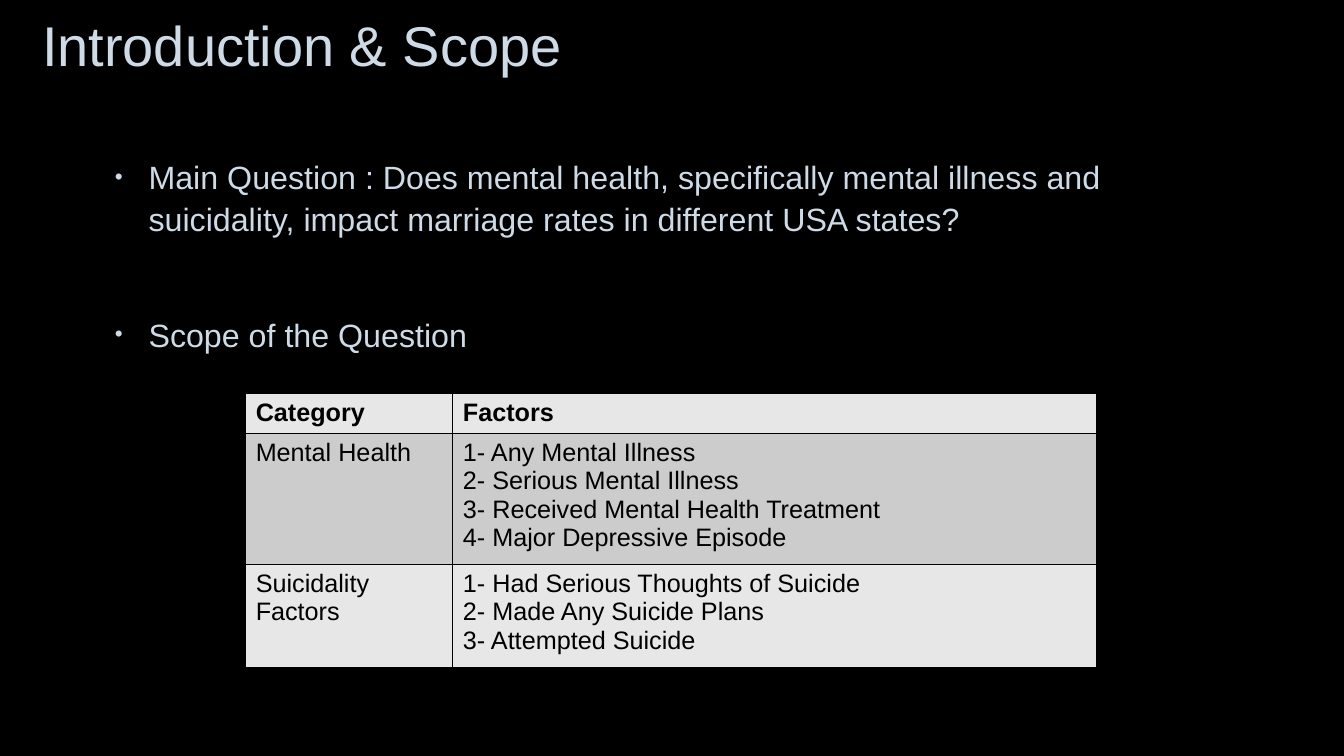
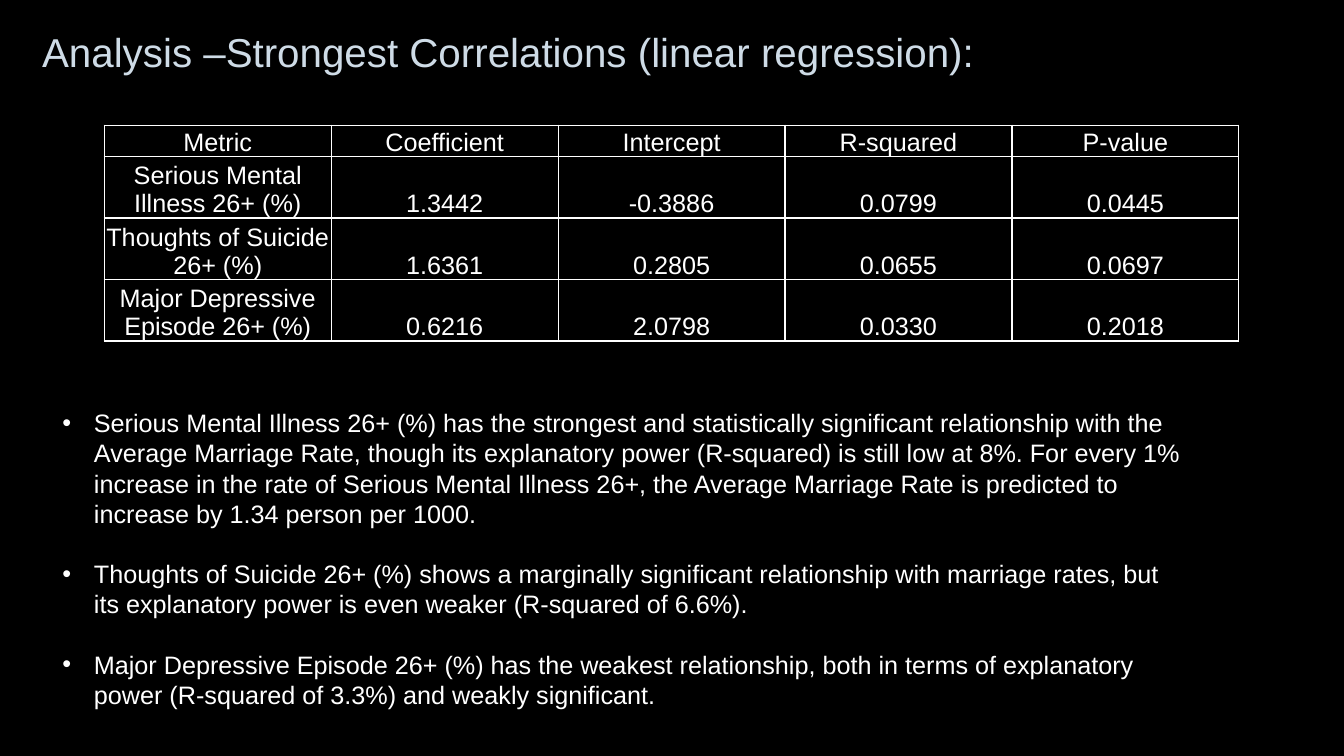
"""Builds two slides on mental health and marriage rates."""
from lxml.etree import SubElement
from pptx import Presentation
from pptx.dml.color import RGBColor
from pptx.enum.text import MSO_ANCHOR, PP_ALIGN
from pptx.oxml import parse_xml
from pptx.oxml.ns import nsdecls, qn
from pptx.util import Pt

FONT = "Arial"
COLORS = {
    "background": "000000",
    "heading": "CEDBE6",
    "white": "FFFFFF",
    "black": "000000",
    "light": "E7E7E7",
    "dark": "CCCCCC",
}

SCOPE_POINTS = [
    "Main Question : Does mental health, specifically mental illness and suicidality, "
    "impact marriage rates in different USA states?",
    "Scope of the Question",
]
SCOPE_ROWS = [
    ["Category", "Factors"],
    ["Mental Health",
     "1- Any Mental Illness\n2- Serious Mental Illness\n"
     "3- Received Mental Health Treatment\n4- Major Depressive Episode"],
    ["Suicidality Factors",
     "1- Had Serious Thoughts of Suicide\n2- Made Any Suicide Plans\n3- Attempted Suicide"],
]
REGRESSION_ROWS = [
    ["Metric", "Coefficient", "Intercept", "R-squared", "P-value"],
    ["Serious Mental Illness 26+ (%)", "1.3442", "-0.3886", "0.0799", "0.0445"],
    ["Thoughts of Suicide 26+ (%)", "1.6361", "0.2805", "0.0655", "0.0697"],
    ["Major Depressive Episode 26+ (%)", "0.6216", "2.0798", "0.0330", "0.2018"],
]
FINDINGS = [
    "Serious Mental Illness 26+ (%) has the strongest and statistically significant "
    "relationship with the Average Marriage Rate, though its explanatory power (R-squared) "
    "is still low at 8%. For every 1% increase in the rate of Serious Mental Illness 26+, "
    "the Average Marriage Rate is predicted to increase by 1.34 person per 1000.",
    "Thoughts of Suicide 26+ (%) shows a marginally significant relationship with marriage "
    "rates, but its explanatory power is even weaker (R-squared of 6.6%).",
    "Major Depressive Episode 26+ (%) has the weakest relationship, both in terms of "
    "explanatory power (R-squared of 3.3%) and weakly significant.",
]


def rgb(name):
    return RGBColor.from_string(COLORS[name])


def style_text(paragraph, size, color, bold=False):
    for span in paragraph.runs:
        span.font.name = FONT
        span.font.size = Pt(size)
        span.font.bold = bold
        span.font.color.rgb = rgb(color)


def add_text_box(page, left, top, width, height):
    box = page.shapes.add_textbox(Pt(left), Pt(top), Pt(width), Pt(height))
    box.text_frame.word_wrap = True
    return box.text_frame


def add_page(deck, title, width, height, size):
    page = deck.slides.add_slide(deck.slide_layouts[6])
    page.background.fill.solid()
    page.background.fill.fore_color.rgb = rgb("background")
    frame = add_text_box(page, 23, 6.5, width, height)
    frame.vertical_anchor = MSO_ANCHOR.MIDDLE
    frame.text = title
    frame.paragraphs[0].line_spacing = 0.9
    style_text(frame.paragraphs[0], size, "heading")
    return page


def add_bullet(paragraph, margin, indent, scale):
    properties = paragraph._p.get_or_add_pPr()
    properties.set("marL", str(Pt(margin)))
    properties.set("indent", str(Pt(-indent)))
    SubElement(properties, qn("a:buSzPct"), val=str(scale * 1000))
    SubElement(properties, qn("a:buFont"), typeface=FONT)
    SubElement(properties, qn("a:buChar"), char="•")


def add_bullets(page, place, points, size, color, margin, indent, scale, spacing, gap):
    frame = add_text_box(page, *place)
    frame.text = "\n".join(points)
    for index, paragraph in enumerate(frame.paragraphs):
        add_bullet(paragraph, margin, indent, scale)
        paragraph.line_spacing = spacing
        if index:
            paragraph.space_before = Pt(gap)
        style_text(paragraph, size, color)


def set_borders(cell, color):
    properties = cell._tc.get_or_add_tcPr()
    for index, side in enumerate(("lnL", "lnR", "lnT", "lnB")):
        properties.insert(index, parse_xml(
            f'<a:{side} {nsdecls("a")} w="{Pt(1)}"><a:solidFill>'
            f'<a:srgbClr val="{COLORS[color]}"/></a:solidFill></a:{side}>'))


def add_table(page, left, top, widths, heights, rows, color):
    table = page.shapes.add_table(len(rows), len(widths), Pt(left), Pt(top),
                                  Pt(sum(widths)), Pt(sum(heights))).table
    table.first_row = False
    table.horz_banding = False
    for column, width in zip(table.columns, widths):
        column.width = Pt(width)
    for row, height, texts in zip(table.rows, heights, rows):
        row.height = Pt(height)
        for cell, text in zip(row.cells, texts):
            cell.text_frame.text = text
            cell.fill.background()
            set_borders(cell, color)
            for paragraph in cell.text_frame.paragraphs:
                style_text(paragraph, 18, color)
    return table


def shade_rows(table):
    for index, row in enumerate(table.rows):
        for cell in row.cells:
            cell.fill.solid()
            cell.fill.fore_color.rgb = rgb("dark" if index % 2 else "light")


def center_cells(table):
    for cell in table.iter_cells():
        cell.vertical_anchor = MSO_ANCHOR.BOTTOM
        cell.margin_left = cell.margin_right = cell.margin_top = Pt(0.72)
        cell.margin_bottom = 0
        cell.text_frame.paragraphs[0].alignment = PP_ALIGN.CENTER


def add_scope_page(deck):
    page = add_page(deck, "Introduction & Scope", 815, 56, 40)
    add_bullets(page, (72, 106, 815, 350), SCOPE_POINTS, 23, "heading",
                margin=27, indent=24, scale=70, spacing=1.1, gap=52)
    table = add_table(page, 175.5, 281, [148, 460], [28, 90, 73.5], SCOPE_ROWS, "black")
    shade_rows(table)
    for cell in table.rows[0].cells:
        style_text(cell.text_frame.paragraphs[0], 18, "black", bold=True)


def add_analysis_page(deck):
    page = add_page(deck, "Analysis –Strongest Correlations (linear regression):", 718, 65, 28.8)
    table = add_table(page, 74.5, 89.5, [162.1] * 5, [20.5] + [40.8] * 3,
                      REGRESSION_ROWS, "white")
    center_cells(table)
    add_bullets(page, (37.5, 287.5, 819, 225), FINDINGS, 18, "white",
                margin=22.5, indent=22.5, scale=100, spacing=1, gap=21.5)


def main():
    deck = Presentation()
    deck.slide_width = Pt(960)
    deck.slide_height = Pt(540)
    add_scope_page(deck)
    add_analysis_page(deck)
    deck.save("out.pptx")


if __name__ == "__main__":
    main()
